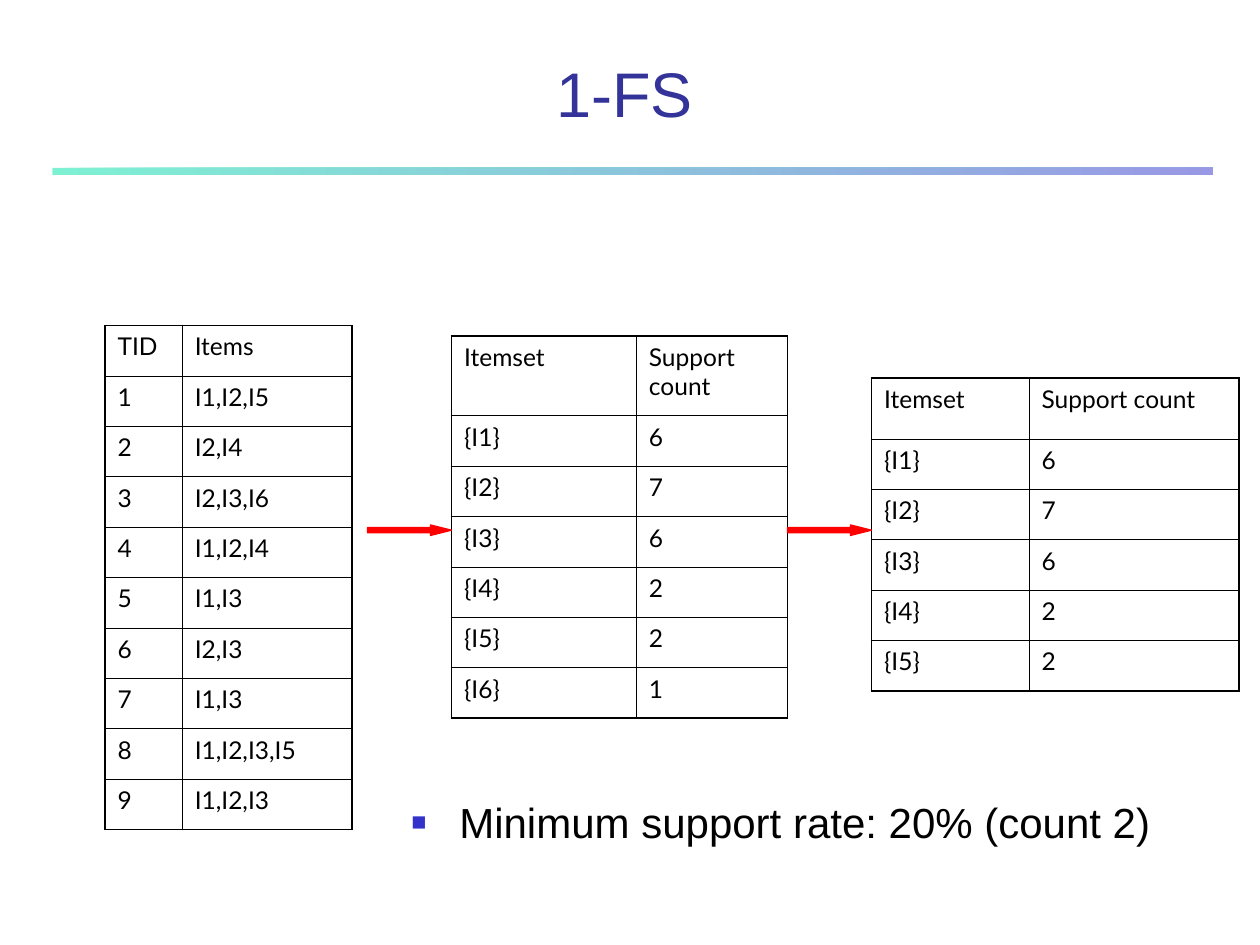
"""Build the 1-FS slide: transactions, candidate itemsets and frequent itemsets."""
from dataclasses import dataclass

from lxml.etree import SubElement as Sub
from pptx import Presentation
from pptx.dml.color import RGBColor
from pptx.enum.shapes import MSO_SHAPE as Preset
from pptx.enum.text import MSO_ANCHOR as Anchor, PP_ALIGN as Align
from pptx.oxml.ns import qn
from pptx.util import Inches, Pt

WIDTH, HEIGHT = Inches(10), Inches(7.5)
COLUMNS = 24
UNIT = WIDTH / COLUMNS
ROW_HEIGHT = 0.96
THIN, THICK = 0.45, 1.08
BLACK, RED, NAVY, BLUE, MINT = "000000", "FF0000", "333399", "3333CC", "00E4A8"


@dataclass(frozen=True)
class Box:
    """A rectangle in grid units."""
    left: float
    top: float
    width: float
    height: float


@dataclass(frozen=True)
class Listing:
    """A two-column table in grid units."""
    left: float
    top: float
    columns: tuple[float, float]
    header_height: float
    rows: list[tuple[str, str]]


def grid(units: float) -> int:
    """Turn grid units into a slide length."""
    return round(units * UNIT)


def colour(code: str) -> RGBColor:
    """Turn a hex string into a colour."""
    return RGBColor.from_string(code)


def place(box: Box) -> tuple[int, int, int, int]:
    """Give the slide position and size of a box."""
    return grid(box.left), grid(box.top), grid(box.width), grid(box.height)


def apply(target, values: dict) -> None:
    """Set each attribute named in the format values."""
    for name, value in values.items():
        setattr(target, name, value)


def write(paragraph, text: str, face: str, size: float, code: str) -> None:
    """Fill a paragraph with formatted text."""
    paragraph.text = text
    apply(paragraph.font, {"name": face, "size": Pt(size), "bold": False})
    paragraph.font.color.rgb = colour(code)


def add_title(slide, box: Box, text: str) -> None:
    """Move and format the title placeholder."""
    title = slide.shapes.title
    apply(title, dict(zip(("left", "top", "width", "height"), place(box))))
    apply(title.text_frame, {"vertical_anchor": Anchor.BOTTOM, "word_wrap": True})
    paragraph = title.text_frame.paragraphs[0]
    write(paragraph, text, "Arial", 36, NAVY)
    paragraph.alignment = Align.CENTER


def add_rule(slide, box: Box, codes: tuple[str, str]) -> None:
    """Draw the half-transparent gradient rule below the title."""
    rule = slide.shapes.add_shape(Preset.RECTANGLE, *place(box))
    rule.shadow.inherit = False
    rule.line.fill.background()
    rule.fill.gradient()
    rule.fill.gradient_angle = 0
    for stop, code in zip(rule.fill.gradient_stops, codes):
        stop.color.rgb = colour(code)
    for tint in rule.element.spPr.iter(qn("a:srgbClr")):
        Sub(tint, qn("a:alpha"), val="50000")


def add_bullet(slide, box: Box, text: str) -> None:
    """Write one line with a small square bullet."""
    frame = slide.shapes.add_textbox(*place(box)).text_frame
    apply(frame, {"word_wrap": True, "vertical_anchor": Anchor.MIDDLE})
    paragraph = frame.paragraphs[0]
    properties = paragraph._p.get_or_add_pPr()
    indent = Inches(0.38)
    properties.set("marL", str(indent))
    properties.set("indent", str(-indent))
    Sub(Sub(properties, qn("a:buClr")), qn("a:srgbClr"), val=BLUE)
    Sub(properties, qn("a:buSzPct"), val="60000")
    Sub(properties, qn("a:buFont"), typeface="Arial")
    Sub(properties, qn("a:buChar"), char="■")
    write(paragraph, text, "Arial", 24, BLACK)


def add_borders(cell, outer_sides: dict[str, bool]) -> None:
    """Draw thick outer and thin inner borders around a cell."""
    properties = cell._tc.get_or_add_tcPr()
    for side, is_outer in outer_sides.items():
        weight = Pt(THICK if is_outer else THIN)
        border = Sub(properties, qn(f"a:ln{side}"), w=str(weight))
        Sub(Sub(border, qn("a:solidFill")), qn("a:srgbClr"), val=BLACK)


def add_listing(slide, listing: Listing) -> None:
    """Draw a listing as an unfilled, ruled table."""
    last_row, last_column = len(listing.rows) - 1, len(listing.columns) - 1
    heights = [listing.header_height] + [ROW_HEIGHT] * last_row
    box = Box(listing.left, listing.top, sum(listing.columns), sum(heights))
    table = slide.shapes.add_table(last_row + 1, last_column + 1, *place(box)).table
    apply(table, {"first_row": False, "horz_banding": False})
    for column, width in zip(table.columns, listing.columns):
        column.width = grid(width)
    for r, (values, height) in enumerate(zip(listing.rows, heights)):
        table.rows[r].height = grid(height)
        for c, value in enumerate(values):
            cell = table.cell(r, c)
            write(cell.text_frame.paragraphs[0], value, "Lato", 14, BLACK)
            add_borders(cell, {"L": c == 0, "R": c == last_column,
                               "T": r == 0, "B": r == last_row})
            cell.fill.background()


def add_arrow(slide, box: Box) -> None:
    """Draw a slim red arrow from one table to the next."""
    arrow = slide.shapes.add_shape(Preset.RIGHT_ARROW, *place(box))
    arrow.shadow.inherit = False
    arrow.adjustments[0], arrow.adjustments[1] = 0.5, 2
    arrow.fill.solid()
    arrow.fill.fore_color.rgb = arrow.line.color.rgb = colour(RED)
    arrow.line.width = Pt(0.75)


def main() -> None:
    """Build and save the slide."""
    baskets = ["I1,I2,I5", "I2,I4", "I2,I3,I6", "I1,I2,I4", "I1,I3",
               "I2,I3", "I1,I3", "I1,I2,I3,I5", "I1,I2,I3"]
    counts = [6, 7, 6, 2, 2, 1]
    transactions = [("TID", "Items")]
    transactions += [(str(tid), items) for tid, items in enumerate(baskets, 1)]
    candidates = [("Itemset", "Support count")]
    candidates += [(f"{{I{item}}}", str(count)) for item, count in enumerate(counts, 1)]
    frequent = candidates[:-1]

    deck = Presentation()
    apply(deck, {"slide_width": WIDTH, "slide_height": HEIGHT})
    slide = deck.slides.add_slide(deck.slide_layouts[5])
    add_rule(slide, Box(1, 3.2, 22.1, 0.13), (MINT, BLUE))
    add_title(slide, Box(1, 1, 21.8, 1.6), "1-FS")
    add_bullet(slide, Box(7.6, 14.95, 15.1, 1.4), "Minimum support rate: 20% (count 2)")
    for listing in (
        Listing(2, 6.2, (1.47, 3.24), ROW_HEIGHT, transactions),
        Listing(8.6, 6.4, (3.52, 2.88), 1.52, candidates),
        Listing(16.6, 7.2, (3, 4), 1.16, frequent),
    ):
        add_listing(slide, listing)
    for left in (7, 15):
        add_arrow(slide, Box(left, 10, 1.6, 0.2))
    deck.save("out.pptx")


if __name__ == "__main__":
    main()
